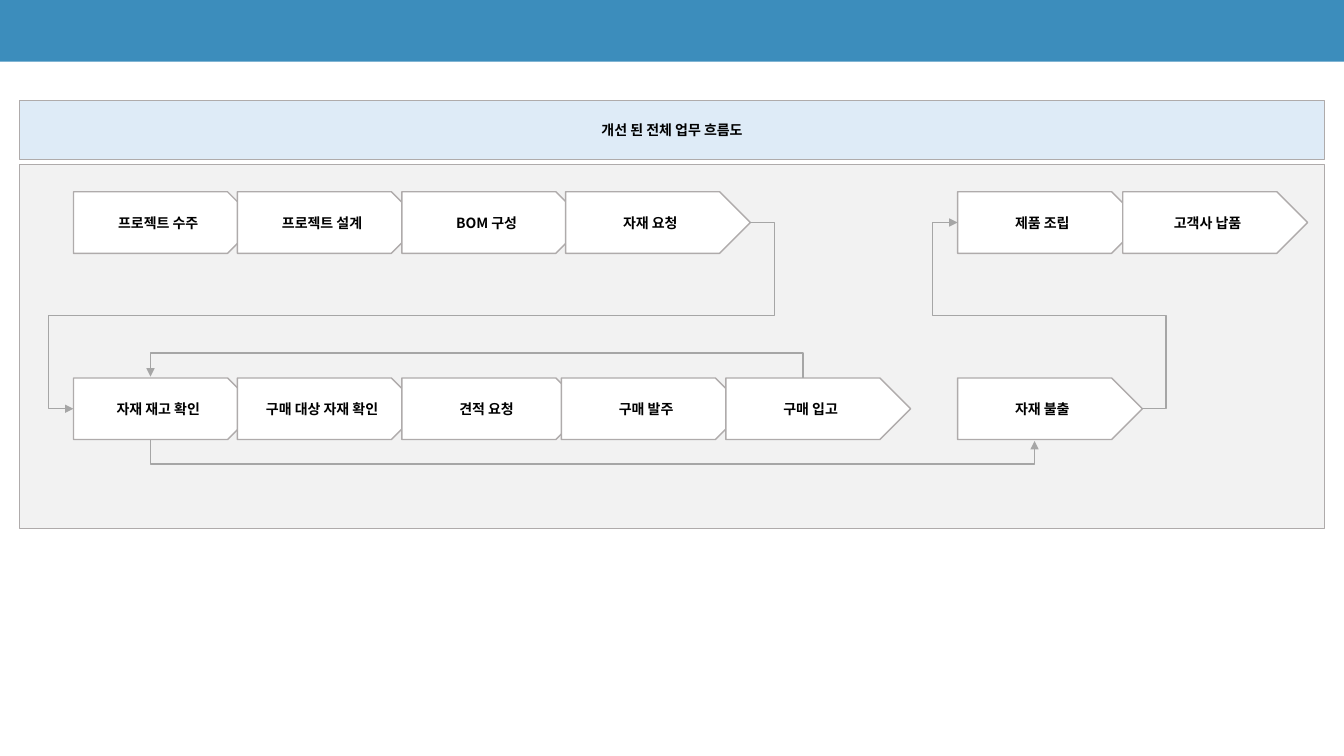
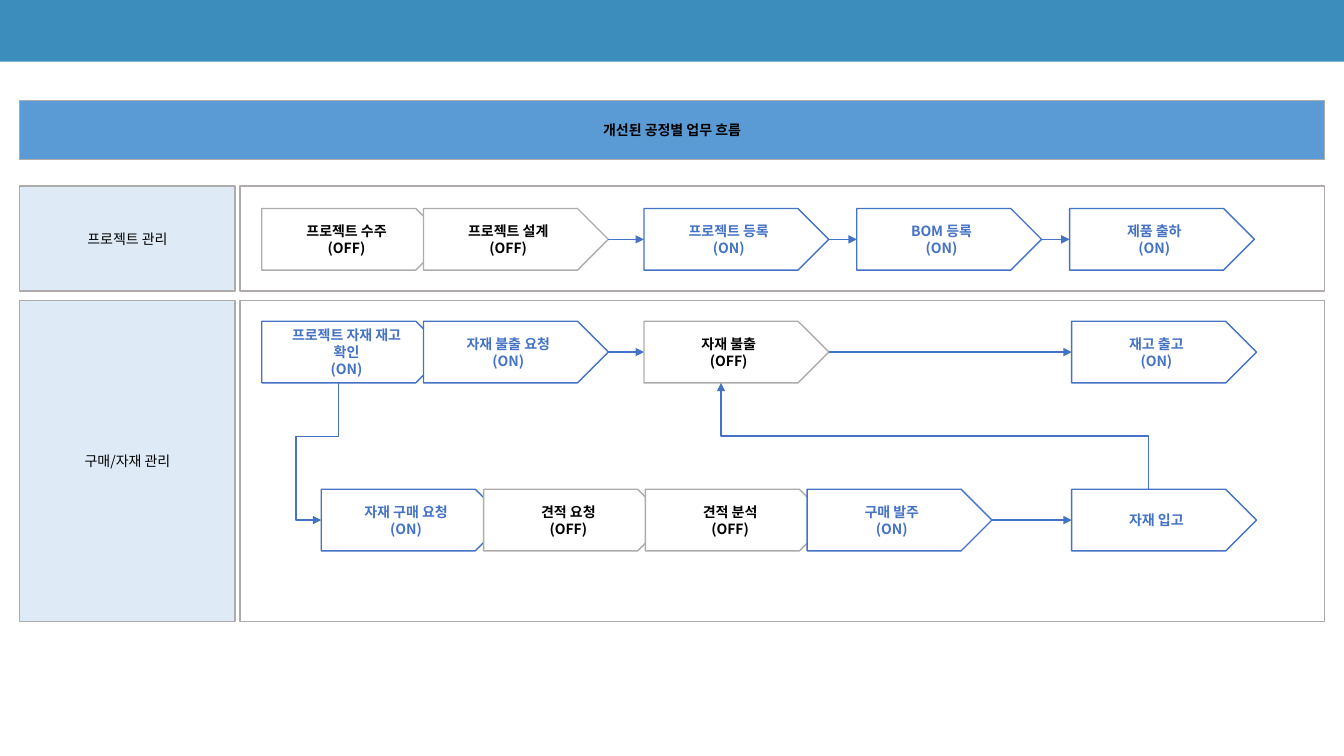
from dataclasses import dataclass

from lxml import etree
from pptx import Presentation
from pptx.dml.color import RGBColor
from pptx.enum import shapes as kinds, text as texts
from pptx.oxml import ns
from pptx.util import Pt


@dataclass(frozen=True)
class Theme:
    font: str = "Noto Sans CJK KR"
    size: int = 10
    stroke: int = 1
    white: str = "FFFFFF"
    ink: str = "000000"
    band: str = "3C8DBC"
    pale_blue: str = "DEEBF7"
    mid_blue: str = "5B9BD5"
    panel: str = "F2F2F2"
    border: str = "AFABAB"
    arrow: str = "A6A6A6"
    online: str = "4472C4"


theme = Theme()
RECT = kinds.MSO_SHAPE.RECTANGLE
STEP = kinds.MSO_SHAPE.PENTAGON
STEP_W, STEP_H = 132, 44
UP, LEFT, DOWN, RIGHT = range(4)  # connection sites of a step


def box(slide, kind, bounds, words="", fill=theme.white, line=theme.border,
        ink=theme.ink, bold=True):
    """Draw a filled box with centred text; kind None formats the title."""
    bounds = [Pt(v) for v in bounds]
    if kind is None:
        shape = slide.shapes.title
        shape.left, shape.top, shape.width, shape.height = bounds
    else:
        shape = slide.shapes.add_shape(kind, *bounds)
        shape.shadow.inherit = False
    shape.fill.solid()
    shape.fill.fore_color.rgb = RGBColor.from_string(fill)
    if line:
        shape.line.color.rgb = RGBColor.from_string(line)
        shape.line.width = Pt(theme.stroke)
    else:
        shape.line.fill.background()
    if words:
        frame = shape.text_frame
        frame.text = words
        frame.word_wrap = True
        frame.vertical_anchor = texts.MSO_ANCHOR.MIDDLE
        for paragraph in frame.paragraphs:
            paragraph.alignment = texts.PP_ALIGN.CENTER
            paragraph.line_spacing = 1.0
            font = paragraph.font
            font.name, font.size, font.bold = theme.font, Pt(theme.size), bold
            font.color.rgb = RGBColor.from_string(ink)
            east_asian = etree.SubElement(paragraph._p.pPr.defRPr, ns.qn("a:ea"))
            east_asian.set("typeface", theme.font)
    return shape


def link(slide, start, start_site, end, end_site, color, bends=()):
    """Join two steps; bends are the x and y positions of the inner segments."""
    points = []
    for step, site in ((start, start_site), (end, end_site)):
        x, y, w, h = (v.pt for v in (step.left, step.top, step.width, step.height))
        points.append({UP: (x + (w - h / 2) / 2, y), LEFT: (x, y + h / 2),
                       DOWN: (x + (w - h / 2) / 2, y + h), RIGHT: (x + w, y + h / 2)}[site])
    (x0, y0), (x1, y1) = points
    upright = start_site in (UP, DOWN)
    if upright and y0 == y1:  # the bend is a fraction of the height, so it needs one
        y1 += 1 if start_site == DOWN else -1
    kind = kinds.MSO_CONNECTOR.ELBOW if bends else kinds.MSO_CONNECTOR.STRAIGHT
    arrow = slide.shapes.add_connector(kind, Pt(x0), Pt(y0), Pt(x1), Pt(y1))
    arrow.line.color.rgb = RGBColor.from_string(color)
    arrow.line.width = Pt(theme.stroke)
    props = arrow._element.spPr
    etree.SubElement(arrow.line._get_or_add_ln(), ns.qn("a:tailEnd")).set("type", "triangle")
    etree.SubElement(props, ns.qn("a:effectLst"))
    if not bends:
        arrow.begin_connect(start, start_site)
        arrow.end_connect(end, end_site)
        return
    if upright:  # the preset starts sideways: turn it to start up or down
        w, h = abs(y1 - y0), abs(x1 - x0)
        arrow.left, arrow.top = Pt((x0 + x1 - w) / 2), Pt((y0 + y1 - h) / 2)
        arrow.width, arrow.height = Pt(w), Pt(h)
        frame = props.find(ns.qn("a:xfrm"))
        frame.set("rot", str((90 if start_site == DOWN else 270) * 60000))
        frame.set("flipH", "0")
        frame.set("flipV", str(int((x1 > x0) == (start_site == DOWN))))
    geometry = props.find(ns.qn("a:prstGeom"))
    geometry.set("prst", f"bentConnector{len(bends) + 2}")
    guides = geometry.get_or_add_avLst()
    for i, bend in enumerate(bends):
        along_y = (i % 2 == 0) == upright
        part = (bend - y0) / (y1 - y0) if along_y else (bend - x0) / (x1 - x0)
        guide = etree.SubElement(guides, ns.qn("a:gd"))
        guide.set("name", f"adj{i + 1}")
        guide.set("fmla", f"val {round(part * 100000)}")


deck = Presentation()
deck.slide_width, deck.slide_height = Pt(960), Pt(540)

# Shared top band and title
slides = []
for heading, fill in (("개선 된 전체 업무 흐름도", theme.pale_blue),
                      ("개선된 공정별 업무 흐름", theme.mid_blue)):
    slide = deck.slides.add_slide(deck.slide_layouts[5])
    box(slide, RECT, (0, 0, 960, 44), fill=theme.band, line=None)
    box(slide, None, (14, 72, 932, 42), heading, fill)
    slides.append(slide)
overview, process = slides

# Overall flow: panel and steps
box(overview, RECT, (14, 117.5, 932, 260), fill=theme.panel)
flow = {}
for top, row in (
    (137, ((52.5, "프로젝트 수주"), (169.5, "프로젝트 설계"), (287, "BOM 구성"),
           (404, "자재 요청"), (684, "제품 조립"), (802, "고객사 납품"))),
    (270, ((52.5, "자재 재고 확인"), (169.5, "구매 대상 자재 확인"), (287, "견적 요청"),
           (401, "구매 발주"), (518.5, "구매 입고"), (684, "자재 불출"))),
):
    for left, name in row:
        flow[name] = box(overview, STEP, (left, top, STEP_W, STEP_H), name)

# Overall flow: arrows
for start, start_site, end, end_site, bends in (
    ("자재 요청", RIGHT, "자재 재고 확인", LEFT, (553.5, 225.5, 34.5)),
    ("구매 입고", UP, "자재 재고 확인", UP, (252,)),
    ("자재 재고 확인", DOWN, "자재 불출", DOWN, (331.5,)),
    ("자재 불출", RIGHT, "제품 조립", LEFT, (833, 225.5, 666)),
):
    link(overview, flow[start], start_site, flow[end], end_site, theme.arrow, bends)

# Flow by process: lanes
for top, height, lane in ((133, 75, "프로젝트 관리"), (214.5, 229.5, "구매/자재 관리")):
    box(process, RECT, (14, top, 154, height), lane, theme.pale_blue, bold=False)
    box(process, RECT, (171.5, top, 774.5, height))

# Flow by process: steps, blue when handled online
tasks = {}
for top, row in (
    (149, ((187, "프로젝트 수주\n(OFF)"), (302.5, "프로젝트 설계\n(OFF)"),
           (460, "프로젝트 등록\n(ON)"), (612, "BOM 등록\n(ON)"), (764, "제품 출하\n(ON)"))),
    (229.5, ((187, "프로젝트 자재 재고\n확인\n(ON)"), (302.5, "자재 불출 요청\n(ON)"),
             (460, "자재 불출\n(OFF)"), (765.5, "재고 출고\n(ON)"))),
    (349.5, ((229.5, "자재 구매 요청\n(ON)"), (345.5, "견적 요청\n(OFF)"),
             (461, "견적 분석\n(OFF)"), (576.5, "구매 발주\n(ON)"), (765.5, "자재 입고"))),
):
    for left, words in row:
        offline = words.endswith("(OFF)")
        tasks[words.split("\n")[0]] = box(
            process, STEP, (left, top, STEP_W, STEP_H), words,
            line=theme.border if offline else theme.online,
            ink=theme.ink if offline else theme.online)

# Flow by process: arrows
for start, end in (("프로젝트 설계", "프로젝트 등록"), ("프로젝트 등록", "BOM 등록"),
                   ("BOM 등록", "제품 출하"), ("자재 불출 요청", "자재 불출"),
                   ("자재 불출", "재고 출고"), ("구매 발주", "자재 입고")):
    link(process, tasks[start], RIGHT, tasks[end], LEFT, theme.online)
link(process, tasks["프로젝트 자재 재고"], DOWN, tasks["자재 구매 요청"], LEFT,
     theme.online, (312, 211.5))
link(process, tasks["자재 입고"], UP, tasks["자재 불출"], DOWN, theme.online, (311.5,))

deck.save("out.pptx")
